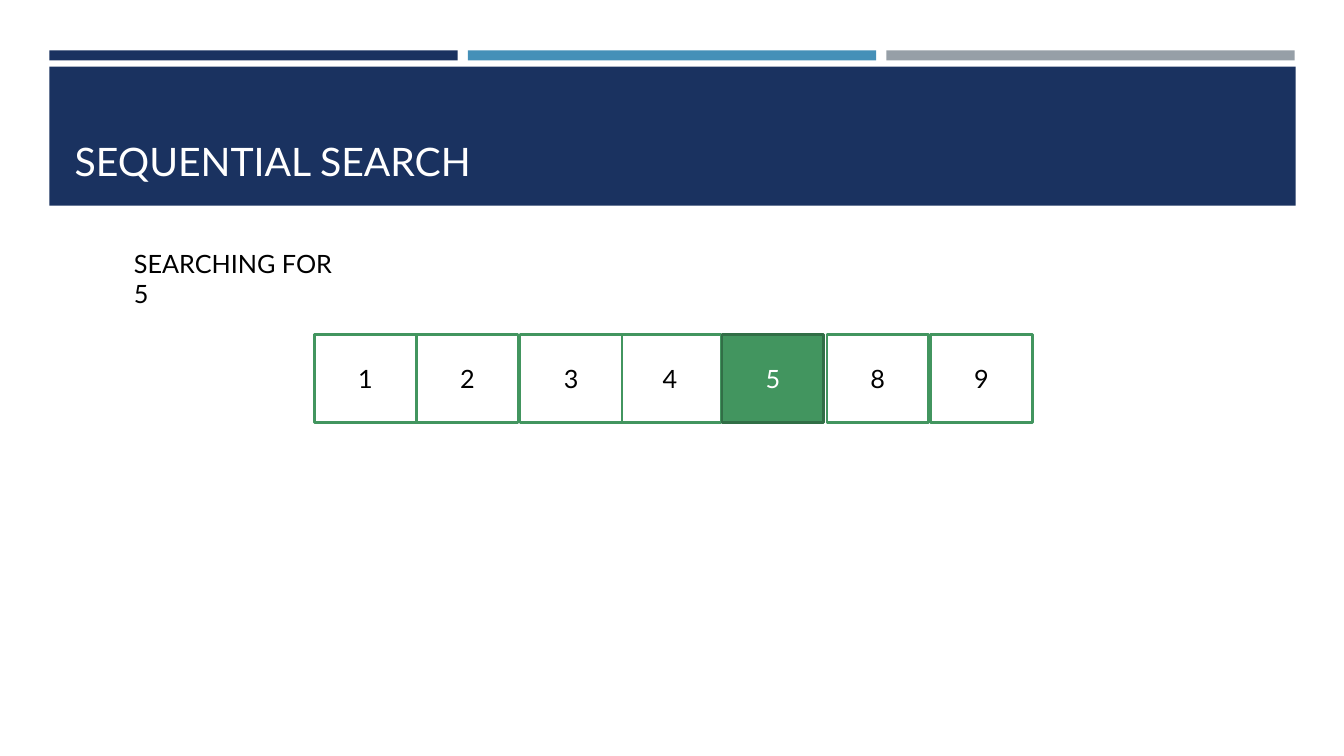
"""Build the sequential search slide with its row of array cells."""
from pptx import Presentation
from pptx.dml.color import RGBColor
from pptx.enum.shapes import MSO_SHAPE
from pptx.enum.text import MSO_ANCHOR, PP_ALIGN
from pptx.util import Inches, Pt

RECTANGLE = MSO_SHAPE.RECTANGLE
TOP, MIDDLE, BOTTOM = MSO_ANCHOR.TOP, MSO_ANCHOR.MIDDLE, MSO_ANCHOR.BOTTOM
LEFT, CENTER = PP_ALIGN.LEFT, PP_ALIGN.CENTER

COLORS = {
    "navy": "1A3260",
    "blue": "4590B8",
    "gray": "969FA7",
    "green": "42955F",
    "dark green": "316E46",
    "white": "FFFFFF",
    "black": "000000",
}
TARGET = 5


def write(shape, text, size=18, color="black", align=LEFT, anchor=TOP):
    frame = shape.text_frame
    frame.word_wrap = True
    frame.vertical_anchor = anchor
    paragraph = frame.paragraphs[0]
    paragraph.alignment = align
    run = paragraph.add_run()
    run.text = text
    run.font.name = "Lato"
    run.font.size = Pt(size)
    run.font.color.rgb = RGBColor.from_string(COLORS[color])


def add_box(left, top, width, height, fill, line=None):
    box = slide.shapes.add_shape(
        RECTANGLE, Inches(left), Inches(top), Inches(width), Inches(height))
    box.shadow.inherit = False
    box.fill.solid()
    box.fill.fore_color.rgb = RGBColor.from_string(COLORS[fill])
    if line:
        box.line.color.rgb = RGBColor.from_string(COLORS[line])
        box.line.width = Pt(1.75)
    else:
        box.line.fill.background()
    return box


prs = Presentation()
prs.slide_width, prs.slide_height = Inches(13.33), Inches(7.5)
slide = prs.slides.add_slide(prs.slide_layouts[5])

title = slide.shapes.title
title.left, title.top = Inches(0.64), Inches(0.8)
title.width, title.height = Inches(12.06), Inches(1.08)
write(title, "SEQUENTIAL SEARCH", size=28, color="white", anchor=BOTTOM)

for column, accent in enumerate(["navy", "blue", "gray"]):
    accent_bar = add_box(0.49 + column * 4.15, 0.5, 4.05, 0.1, accent)
    title.element.addprevious(accent_bar.element)
title_band = add_box(0.49, 0.66, 12.36, 1.38, "navy")
title.element.addprevious(title_band.element)

cell_lefts = {1: 3.12, 2: 4.13, 4: 6.14, 8: 8.2, 5: 7.16, 3: 5.16, 9: 9.23}
for number, left in cell_lefts.items():
    found = number == TARGET
    cell = add_box(left, 3.32, 1.01, 0.87,
                   fill="green" if found else "white",
                   line="dark green" if found else "green")
    write(cell, str(number), color="white" if found else "black",
          align=CENTER, anchor=MIDDLE)

search_label = slide.shapes.add_textbox(
    Inches(1.23), Inches(2.41), Inches(2.32), Inches(0.4))
write(search_label, f"SEARCHING FOR {TARGET}")

prs.save("out.pptx")
